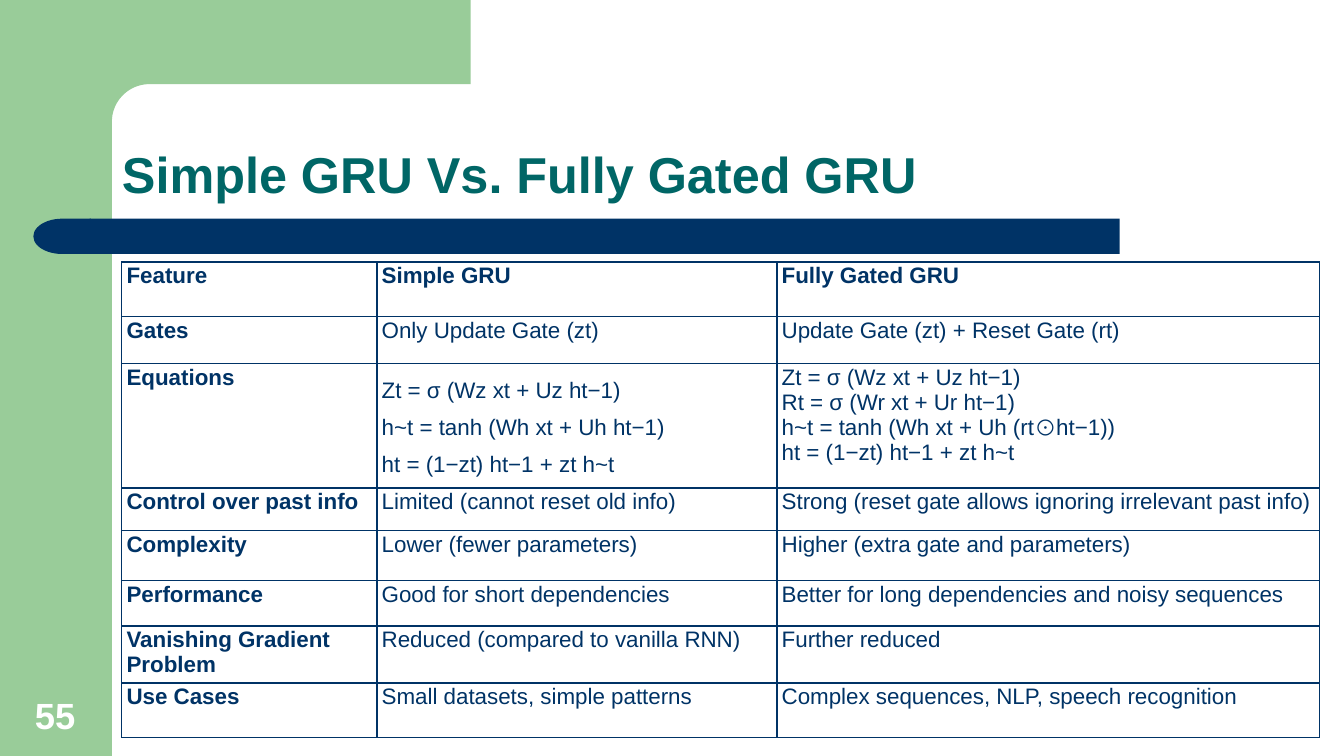
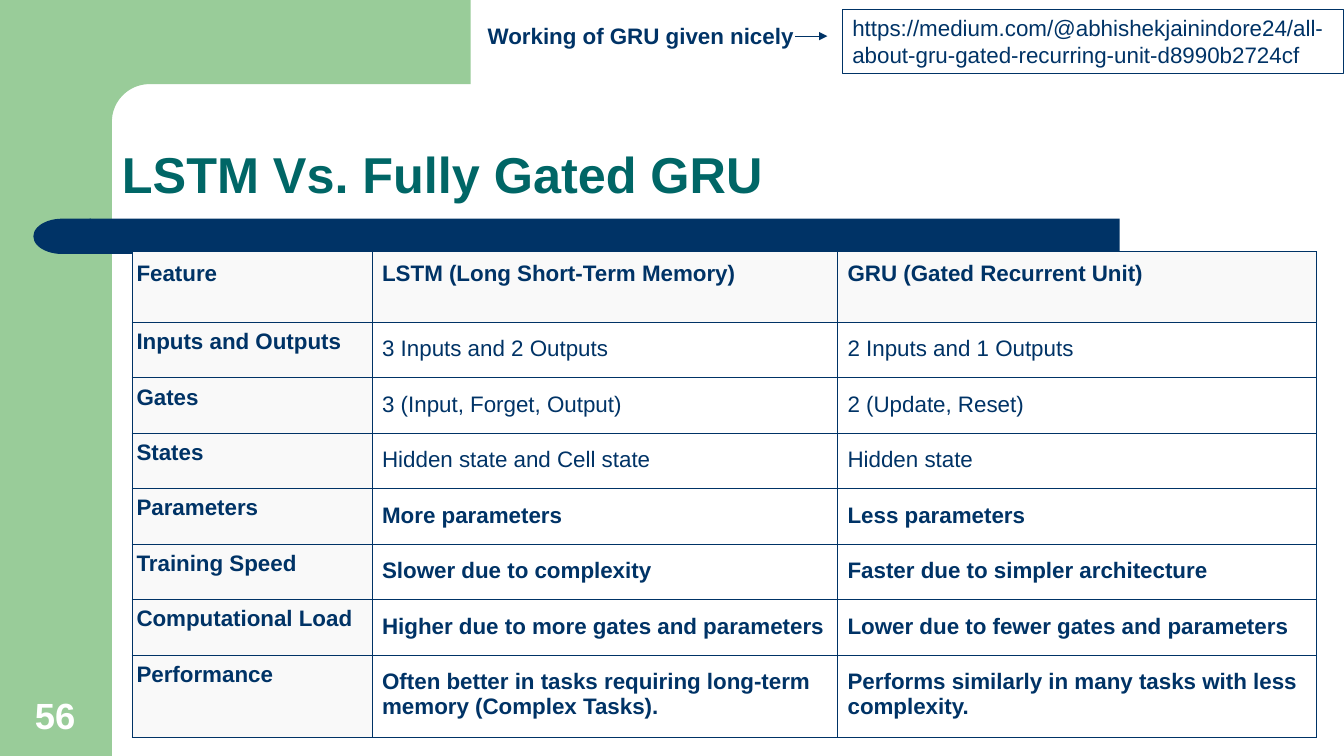
import math
from dataclasses import dataclass

from lxml import etree
from pptx import Presentation
from pptx.dml.color import RGBColor
from pptx.enum.shapes import MSO_CONNECTOR, MSO_SHAPE
from pptx.enum.text import MSO_ANCHOR, MSO_AUTO_SIZE, PP_ALIGN
from pptx.oxml.ns import qn
from pptx.util import Cm, Pt

STRAIGHT = MSO_CONNECTOR.STRAIGHT
RECTANGLE = MSO_SHAPE.RECTANGLE
DELAY = MSO_SHAPE.FLOWCHART_DELAY
TOP, MIDDLE, BOTTOM = MSO_ANCHOR.TOP, MSO_ANCHOR.MIDDLE, MSO_ANCHOR.BOTTOM
LEFT, CENTER = PP_ALIGN.LEFT, PP_ALIGN.CENTER
NO_AUTOFIT = MSO_AUTO_SIZE.NONE
TITLE_ONLY = 5


@dataclass(frozen=True)
class Theme:
    font: str = "Arial"
    navy: str = "003366"
    green: str = "99CC99"
    teal: str = "006666"
    white: str = "FFFFFF"
    light_grey: str = "F9F9F9"
    title_size: int = 36
    number_size: int = 26
    text_size: int = 16
    border: float = 1
    thin_line: float = 0.75


THEME = Theme()


@dataclass(frozen=True)
class Comparison:
    """Place, measures (cm) and content of one feature table.

    Insets are (horizontal, vertical); a cell holds a text or a list of lines.
    """
    left: float
    top: float
    widths: tuple
    heights: tuple
    rows: list
    header_inset: tuple
    label_inset: tuple
    body_inset: tuple
    label_fill: str = None
    body_fill: str = None
    bold_features: tuple = ()
    spaced_cells: tuple = ()


SIMPLE_VS_FULL = Comparison(
    left=3.07, top=6.6,
    widths=(6.43, 10.08, 13.67),
    heights=(1.38, 1.19, 3.1, 1.08, 1.26, 1.14, 1.38, 1.38),
    header_inset=(0.12, 0.04), label_inset=(0.12, 0.04), body_inset=(0.12, 0.04),
    spaced_cells=((2, 1),),
    rows=[
        ("Feature", "Simple GRU", "Fully Gated GRU"),
        ("Gates", "Only Update Gate (zt)", "Update Gate (zt) + Reset Gate (rt)"),
        ("Equations",
         ["Zt = σ (Wz xt + Uz ht−1)",
          "h~t = tanh (Wh xt + Uh ht−1)",
          "ht = (1−zt) ht−1 + zt h~t"],
         ["Zt = σ (Wz xt + Uz ht−1)",
          "Rt = σ (Wr xt + Ur ht−1)",
          "h~t = tanh (Wh xt + Uh (rt⊙ht−1))",
          "ht = (1−zt) ht−1 + zt h~t"]),
        ("Control over past info", "Limited (cannot reset old info)",
         "Strong (reset gate allows ignoring irrelevant past info)"),
        ("Complexity", "Lower (fewer parameters)", "Higher (extra gate and parameters)"),
        ("Performance", "Good for short dependencies",
         "Better for long dependencies and noisy sequences"),
        ("Vanishing Gradient Problem", "Reduced (compared to vanilla RNN)",
         "Further reduced"),
        ("Use Cases", "Small datasets, simple patterns",
         "Complex sequences, NLP, speech recognition"),
    ],
)

LSTM_VS_GRU = Comparison(
    left=3.33, top=6.34,
    widths=(6.05, 11.73, 12.07),
    heights=(1.78, *[1.37] * 6, 2.0),
    header_inset=(0.25, 0.25), label_inset=(0.11, 0.18), body_inset=(0.25, 0.36),
    label_fill=THEME.light_grey, body_fill=THEME.white,
    bold_features=("Parameters", "Training Speed", "Computational Load", "Performance"),
    rows=[
        ("Feature", "LSTM (Long Short-Term Memory)", "GRU (Gated Recurrent Unit)"),
        ("Inputs and Outputs", "3 Inputs and 2 Outputs", "2 Inputs and 1 Outputs"),
        ("Gates", "3 (Input, Forget, Output)", "2 (Update, Reset)"),
        ("States", "Hidden state and Cell state", "Hidden state"),
        ("Parameters", "More parameters", "Less parameters"),
        ("Training Speed", "Slower due to complexity",
         "Faster due to simpler architecture"),
        ("Computational Load", "Higher due to more gates and parameters",
         "Lower due to fewer gates and parameters"),
        ("Performance",
         "Often better in tasks requiring long-term memory (Complex Tasks).",
         "Performs similarly in many tasks with less complexity."),
    ],
)


def rgb(colour):
    return RGBColor.from_string(colour)


def cm_box(*lengths):
    return [Cm(length) for length in lengths]


def write(frame, lines, size=THEME.text_size, colour=THEME.navy, bold=False,
          align=LEFT, spacing=1.0):
    """Write one paragraph per line into a text frame."""
    for index, line in enumerate(lines):
        paragraph = frame.add_paragraph() if index else frame.paragraphs[0]
        paragraph.alignment = align
        paragraph.line_spacing = spacing
        run = paragraph.add_run()
        run.text = line
        run.font.name = THEME.font
        run.font.size = Pt(size)
        run.font.bold = bold
        run.font.color.rgb = rgb(colour)


def paint(shape, colour):
    shape.shadow.inherit = False
    shape.fill.solid()
    shape.fill.fore_color.rgb = rgb(colour)
    shape.line.fill.background()
    return shape


def add_corner(shapes):
    """Green top panel whose lower inner corner is rounded."""
    edge, panel_bottom, radius = 2.82, 2.12, 0.95
    outline = [(11.86, 0), (11.86, panel_bottom)]
    for degrees in range(0, 91, 6):
        angle = math.radians(degrees)
        outline.append((edge + radius * (1 - math.sin(angle)),
                        panel_bottom + radius * (1 - math.cos(angle))))
    outline += [(edge, 3.25), (1.7, 3.25)]
    builder = shapes.build_freeform(Cm(1.7), 0)
    builder.add_line_segments([cm_box(*point) for point in outline], close=True)
    return builder.convert_to_shape()


def decorate_layout(layout, slide):
    """Draw the bands, then move them to the layout behind its placeholders."""
    shapes = slide.shapes
    sidebar = paint(shapes.add_shape(RECTANGLE, *cm_box(0, 0, 2.82, 19.05)), THEME.green)
    corner = paint(add_corner(shapes), THEME.green)
    bar = paint(shapes.add_shape(RECTANGLE, *cm_box(2.26, 5.51, 25.96, 0.89)), THEME.navy)
    bar_end = paint(shapes.add_shape(DELAY, *cm_box(0.84, 5.51, 1.45, 0.89)), THEME.navy)
    bar_end.rotation = 180
    for position, band in enumerate((sidebar, corner, bar, bar_end), start=2):
        layout.shapes.element.insert(position, band.element)


def add_title(slide, text):
    title = slide.shapes.title
    title.left, title.top, title.width, title.height = cm_box(2.82, 2.12, 29.37, 3.17)
    frame = title.text_frame
    frame.vertical_anchor = BOTTOM
    frame.auto_size = NO_AUTOFIT
    write(frame, [text], THEME.title_size, THEME.teal, bold=True, spacing=0.9)


def add_label(slide, box, text, anchor=TOP, **style):
    frame = slide.shapes.add_textbox(*cm_box(*box)).text_frame
    frame.word_wrap = True
    frame.vertical_anchor = anchor
    write(frame, [text], **style)


def add_page_number(slide, number):
    add_label(slide, (0.3, 17.35, 2.18, 1.35), str(number), BOTTOM,
              size=THEME.number_size, colour=THEME.white, bold=True, align=CENTER)


def add_borders(cell):
    properties = cell._tc.get_or_add_tcPr()
    for side in ("a:lnL", "a:lnR", "a:lnT", "a:lnB"):
        line = etree.SubElement(properties, qn(side), w=str(Pt(THEME.border)))
        fill = etree.SubElement(line, qn("a:solidFill"))
        etree.SubElement(fill, qn("a:srgbClr"), val=THEME.navy)


def format_cell(cell, inset, fill):
    horizontal, vertical = inset
    cell.margin_left = cell.margin_right = Cm(horizontal)
    cell.margin_top = cell.margin_bottom = Cm(vertical)
    cell.vertical_anchor = TOP
    add_borders(cell)
    if fill:
        cell.fill.solid()
        cell.fill.fore_color.rgb = rgb(fill)
    else:
        cell.fill.background()


def add_comparison(slide, comparison):
    widths, heights = comparison.widths, comparison.heights
    table = slide.shapes.add_table(
        len(heights), len(widths),
        *cm_box(comparison.left, comparison.top, sum(widths), sum(heights))).table
    table.first_row = table.horz_banding = False
    for column, width in zip(table.columns, widths):
        column.width = Cm(width)
    for row, height in zip(table.rows, heights):
        row.height = Cm(height)

    for r, texts in enumerate(comparison.rows):
        for c, text in enumerate(texts):
            if c == 0:
                inset = comparison.label_inset
                if r == 0:
                    inset = (inset[0], comparison.header_inset[1])
            else:
                inset = comparison.body_inset if r else comparison.header_inset
            heading = r == 0 or c == 0
            cell = table.cell(r, c)
            format_cell(cell, inset,
                        comparison.label_fill if heading else comparison.body_fill)
            write(cell.text_frame, [text] if isinstance(text, str) else text,
                  bold=heading or texts[0] in comparison.bold_features,
                  spacing=1.5 if (r, c) in comparison.spaced_cells else 1.0)


def add_link_box(slide, box, address):
    link_box = slide.shapes.add_shape(RECTANGLE, *cm_box(*box))
    link_box.shadow.inherit = False
    link_box.fill.background()
    link_box.line.color.rgb = rgb(THEME.navy)
    link_box.line.width = Pt(THEME.thin_line)
    frame = link_box.text_frame
    frame.word_wrap = True
    frame.vertical_anchor = MIDDLE
    write(frame, [address])


def add_arrow(slide, start, end):
    arrow = slide.shapes.add_connector(STRAIGHT, *cm_box(*start, *end))
    arrow.line.color.rgb = rgb(THEME.navy)
    arrow.line.width = Pt(THEME.thin_line)
    etree.SubElement(arrow.line._get_or_add_ln(), qn("a:tailEnd"), type="triangle")
    etree.SubElement(arrow.element.spPr, qn("a:effectLst"))


def add_comparison_slide(prs, title, number, comparison):
    slide = prs.slides.add_slide(prs.slide_layouts[TITLE_ONLY])
    add_title(slide, title)
    add_page_number(slide, number)
    add_comparison(slide, comparison)
    return slide


def main():
    prs = Presentation()
    prs.slide_width, prs.slide_height = cm_box(33.87, 19.05)

    simple_gru = add_comparison_slide(
        prs, "Simple GRU Vs. Fully Gated GRU", 55, SIMPLE_VS_FULL)
    decorate_layout(prs.slide_layouts[TITLE_ONLY], simple_gru)

    lstm = add_comparison_slide(prs, "LSTM Vs. Fully Gated GRU", 56, LSTM_VS_GRU)
    add_link_box(lstm, (21.23, 0.23, 12.62, 1.63),
                 "https://medium.com/@abhishekjainindore24/"
                 "all-about-gru-gated-recurring-unit-d8990b2724cf")
    add_label(lstm, (12.04, 0.43, 8.81, 0.94), "Working of GRU given nicely", bold=True)
    add_arrow(lstm, (20.04, 0.91), (20.85, 0.91))

    prs.save("out.pptx")


if __name__ == "__main__":
    main()
